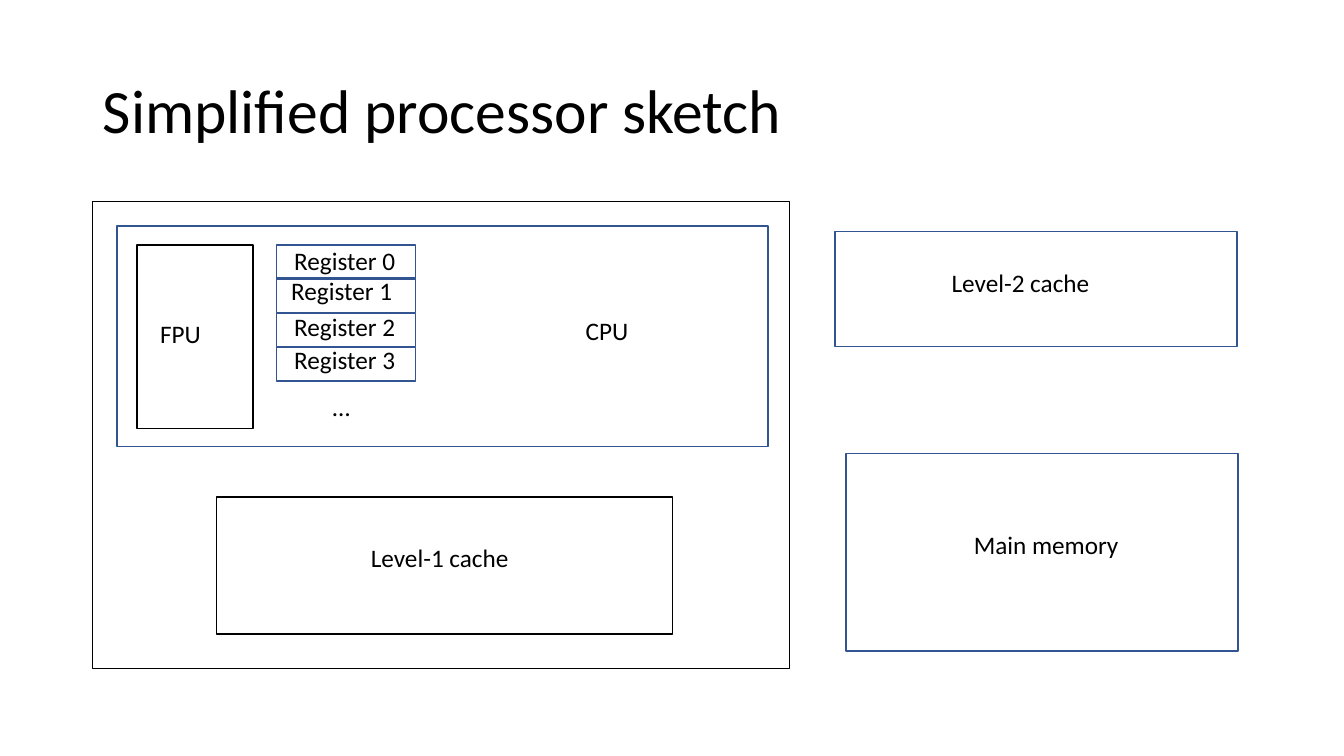
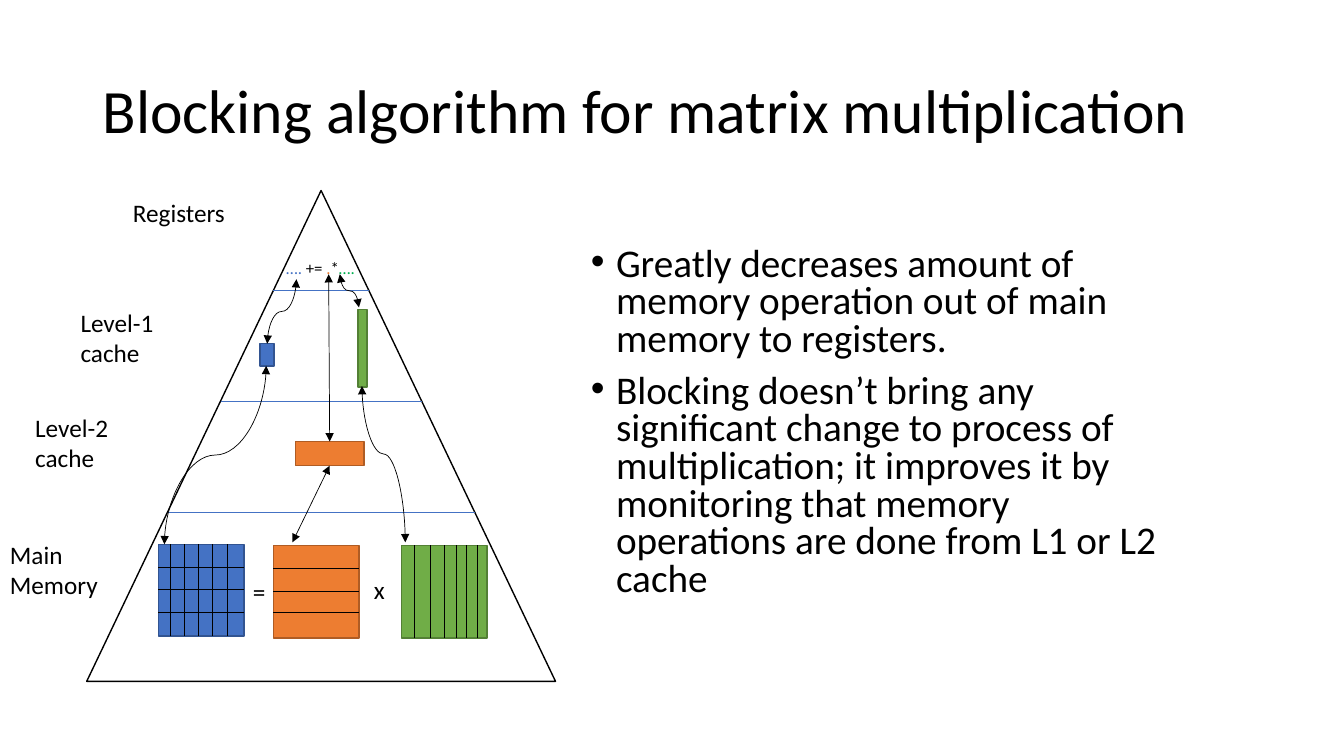
"""Build two slides on processor memory and blocked matrix multiplication."""
from lxml import etree
from pptx import Presentation
from pptx import util as u
from pptx.dml.color import RGBColor
from pptx.enum import shapes, text
from pptx.oxml.ns import qn

BLACK = RGBColor(0x00, 0x00, 0x00)
WHITE = RGBColor(0xFF, 0xFF, 0xFF)
BLUE = RGBColor(0x44, 0x72, 0xC4)
NAVY = RGBColor(0x32, 0x54, 0x91)
ORANGE = RGBColor(0xED, 0x7D, 0x31)
RUST = RGBColor(0xAF, 0x5C, 0x24)
GREEN = RGBColor(0x70, 0xAD, 0x47)
MOSS = RGBColor(0x53, 0x80, 0x35)
LIME = RGBColor(0x00, 0xB0, 0x50)
FONT = "Calibri"
TITLE_AREA = (0.92, 0.4, 11.5, 1.45)
BODY_AREA = (5.76, 2.4, 6.1, 3.99)

PROCESSOR_BOXES = [
    ((0.92, 2, 6.91, 4.63), BLACK),
    ((1.16, 2.24, 6.46, 2.19), NAVY),
    ((2.15, 4.93, 4.52, 1.36), BLACK),
    ((1.36, 2.43, 1.15, 1.82), BLACK),
    ((8.28, 2.3, 3.99, 1.14), NAVY),
    ((8.39, 4.5, 3.89, 1.96), NAVY),
]
PROCESSOR_LABELS = [
    ("Level-1 cache", 3.58, 5.33, 3.9),
    ("Level-2 cache", 9.34, 2.6, 3.9),
    ("Main memory", 9.56, 5.2, 3.9),
    ("CPU", 5.71, 3.08, 2.35),
    ("FPU", 1.49, 3.11, 1.6),
    ("…", 3.2, 3.83, 1.6),
]
REGISTER = (2.74, 2.43, 1.38, 0.33)
REGISTER_PITCH = 0.34
REGISTER_LABELS = [(2.82, 2.38), (2.79, 2.68), (2.82, 3.04), (2.82, 3.37)]

BULLETS = [
    "Greatly decreases amount of memory operation out of main memory to registers.",
    "Blocking doesn’t bring any significant change to process of multiplication; "
    "it improves it by monitoring that memory operations are done from L1 or L2 cache",
]
PYRAMID = (0.86, 1.89, 4.65, 4.87)
TIERS = [2.88 + 1.1 * i for i in range(3)]
PYRAMID_LABELS = [
    ("Main Memory", 0, 5.3, 1.51),
    ("Level-2 cache", 0.25, 4.04, 1.51),
    ("Level-1 cache", 0.7, 3, 1.51),
    ("Registers", 1.22, 1.91, 1.51),
    ("=", 2.41, 5.67, 1.51),
    ("x", 3.61, 5.65, 1.51),
]
UPDATE = [("….", BLUE), (" += ", BLACK), (".", ORANGE), ("*", BLACK), ("….", LIME)]
MATRICES = [
    ((1.57, 5.4, 0.85, 0.91), BLUE, NAVY,
     [1.69 + 0.14 * i for i in range(5)], [5.63, 5.85, 6.08]),
    ((2.71, 5.41, 0.85, 0.92), ORANGE, RUST, [], [5.64, 5.87, 6.08]),
    ((3.98, 5.41, 0.85, 0.92), GREEN, MOSS, [4.11, 4.27, 4.41, 4.53, 4.63, 4.73], []),
]
BLOCKS = [
    ((2.93, 4.38, 0.68, 0.24), ORANGE, RUST),
    ((3.55, 3.07, 0.09, 0.77), GREEN, MOSS),
    ((2.58, 3.41, 0.14, 0.22), BLUE, NAVY),
]
STRAIGHT_MOVES = [((3.27, 4.62), (2.9, 5.38)), ((3.26, 2.72), (3.27, 4.38))]
CURVED_MOVES = [
    ((3.37, 2.72), (3.56, 3.05), 0.5),
    ((3.59, 3.83), (4.02, 5.38), 0.435),
    ((2.64, 3.63), (1.63, 5.4), 0.5),
    ((2.94, 2.77), (2.65, 3.41), 0.5),
]


def inches(values):
    return [u.Inches(value) for value in values]


def add_span(para, words, size, color=BLACK):
    span = para.add_run()
    span.text = words
    span.font.name = FONT
    span.font.size = u.Pt(size)
    span.font.color.rgb = color


def fill_holder(holder, area, lines, size, spacing):
    holder.left, holder.top, holder.width, holder.height = inches(area)
    frame = holder.text_frame
    frame.auto_size = text.MSO_AUTO_SIZE.NONE
    for i, words in enumerate(lines):
        para = frame.add_paragraph() if i else frame.paragraphs[0]
        para.alignment = text.PP_ALIGN.LEFT
        para.line_spacing = spacing
        add_span(para, words, size)
    return frame


def add_page(deck, layout, title):
    page = deck.slides.add_slide(deck.slide_layouts[layout])
    frame = fill_holder(page.shapes.title, TITLE_AREA, [title], 44, 0.9)
    frame.vertical_anchor = text.MSO_ANCHOR.MIDDLE
    return page


def add_box(page, area, fill, line, kind=shapes.MSO_SHAPE.RECTANGLE):
    box = page.shapes.add_shape(kind, *inches(area))
    box.shadow.inherit = False
    box.fill.solid()
    box.fill.fore_color.rgb = fill
    box.line.color.rgb = line
    box.line.width = u.Pt(1)


def add_label(page, spans, left, top, width, height=0.4, size=18):
    box = page.shapes.add_textbox(*inches((left, top, width, height)))
    box.text_frame.word_wrap = True
    box.text_frame.auto_size = text.MSO_AUTO_SIZE.SHAPE_TO_FIT_TEXT
    for words, color in spans:
        add_span(box.text_frame.paragraphs[0], words, size, color)


def add_line(page, start, end, color=BLACK, arrows=False, kind=shapes.MSO_CONNECTOR.STRAIGHT):
    line = page.shapes.add_connector(kind, *inches(start + end))
    line.line.color.rgb = color
    line.line.width = u.Pt(0.5)
    props = line._element.spPr
    if arrows:
        for tag in ("a:headEnd", "a:tailEnd"):
            etree.SubElement(props.find(qn("a:ln")), qn(tag), type="triangle")
    etree.SubElement(props, qn("a:effectLst"))
    return props


def add_curve(page, start, end, bend):
    (x1, y1), (x2, y2) = start, end
    middle_x, middle_y = (x1 + x2) / 2, (y1 + y2) / 2
    half_w, half_h = abs(y2 - y1) / 2, abs(x2 - x1) / 2
    props = add_line(page, (middle_x - half_w, middle_y - half_h),
                     (middle_x + half_w, middle_y + half_h),
                     arrows=True, kind=shapes.MSO_CONNECTOR.CURVE)
    frame = props.find(qn("a:xfrm"))
    frame.set("rot", str((270 if x2 > x1 else 90) * 60000))
    if x2 > x1:
        frame.set("flipH", "1")
    geometry = props.find(qn("a:prstGeom"))
    guides = geometry.find(qn("a:avLst"))
    if guides is None:
        guides = etree.SubElement(geometry, qn("a:avLst"))
    etree.SubElement(guides, qn("a:gd"), name="adj1", fmla=f"val {round(bend * 100000)}")


def build_processor(deck):
    page = add_page(deck, 5, "Simplified processor sketch")
    for area, line in PROCESSOR_BOXES:
        add_box(page, area, WHITE, line)
    left, top, width, height = REGISTER
    for i in range(len(REGISTER_LABELS)):
        add_box(page, (left, top + i * REGISTER_PITCH, width, height), WHITE, NAVY)
    for words, *place in PROCESSOR_LABELS:
        add_label(page, [(words, BLACK)], *place)
    for i, place in enumerate(REGISTER_LABELS):
        add_label(page, [(f"Register {i}", BLACK)], *place, 1.6)


def build_blocking(deck):
    page = add_page(deck, 1, "Blocking algorithm for matrix multiplication")
    frame = fill_holder(page.placeholders[1], BODY_AREA, BULLETS, 28, 0.8)
    for para in frame.paragraphs:
        para.space_before = u.Pt(10)
        props = para._p.get_or_add_pPr()
        props.set("marL", str(u.Inches(0.25)))
        props.set("indent", str(-u.Inches(0.25)))
        etree.SubElement(props, qn("a:buChar"), char="•")

    add_box(page, PYRAMID, WHITE, BLACK, shapes.MSO_SHAPE.ISOSCELES_TRIANGLE)
    left, top, width, height = PYRAMID
    for y in TIERS:
        reach = width / 2 * (y - top) / height
        apex = left + width / 2
        add_line(page, (apex - reach, y), (apex + reach, y), BLUE)
    for words, *place in PYRAMID_LABELS:
        add_label(page, [(words, BLACK)], *place)
    for area, fill, line, columns, rows in MATRICES:
        add_box(page, area, fill, line)
        left, top, width, height = area
        for x in columns:
            add_line(page, (x, top), (x, top + height))
        for y in rows:
            add_line(page, (left, y), (left + width, y))
    for block in BLOCKS:
        add_box(page, *block)
    add_label(page, UPDATE, 2.74, 2.51, 1.01, 0.3, 12)
    for start, end in STRAIGHT_MOVES:
        add_line(page, start, end, arrows=True)
    for move in CURVED_MOVES:
        add_curve(page, *move)


deck = Presentation()
deck.slide_width, deck.slide_height = inches((13.33, 7.5))
build_processor(deck)
build_blocking(deck)
deck.save("out.pptx")
